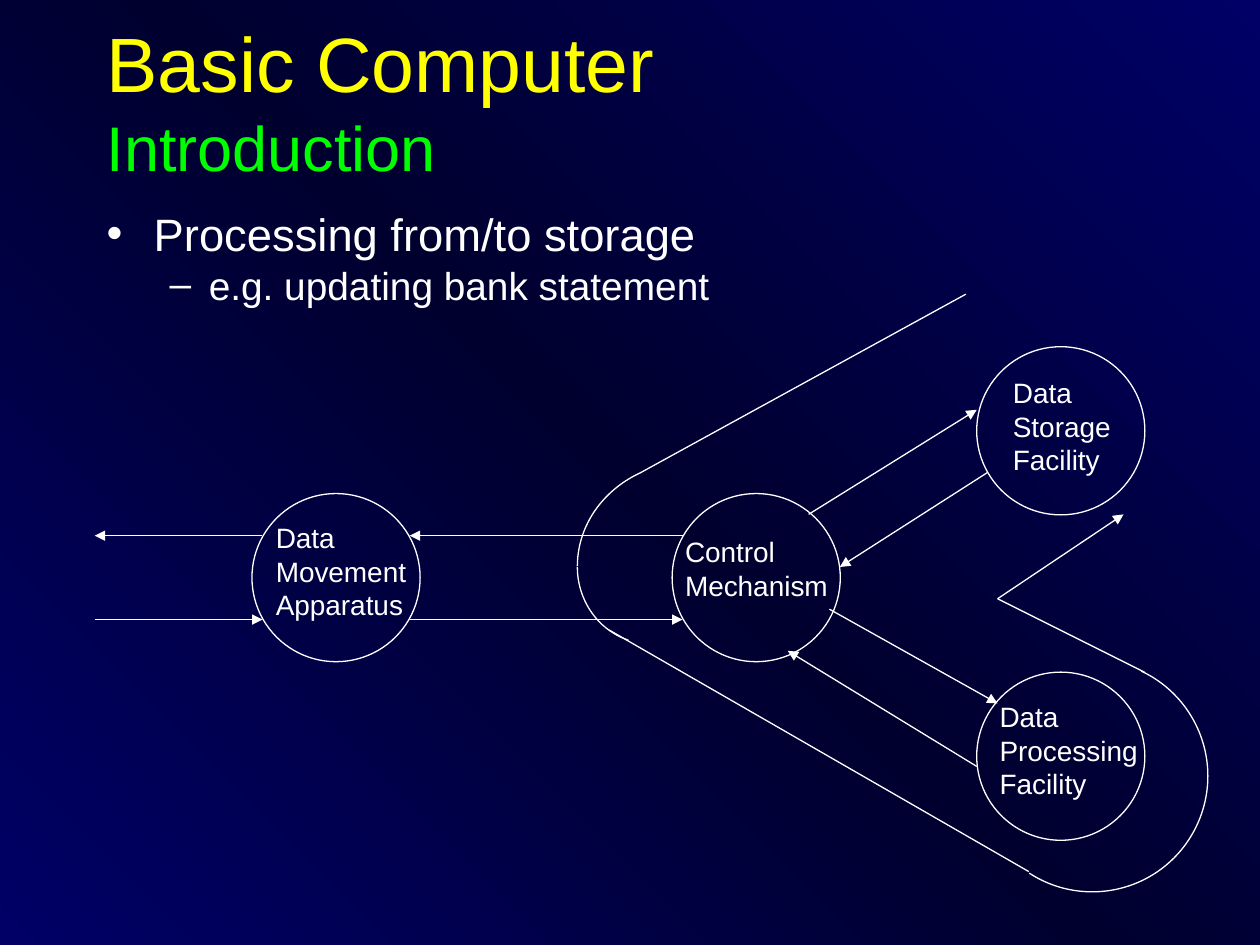
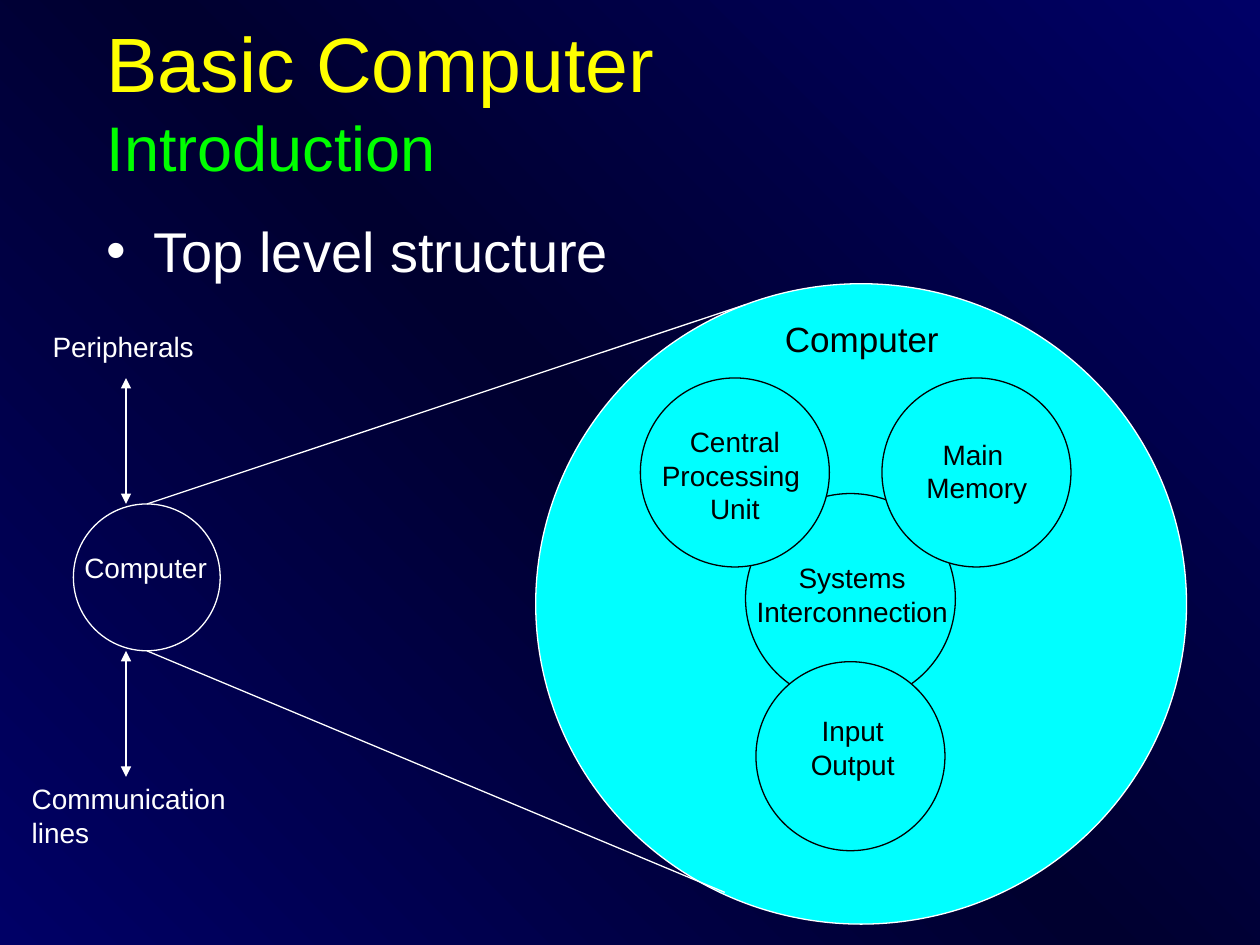
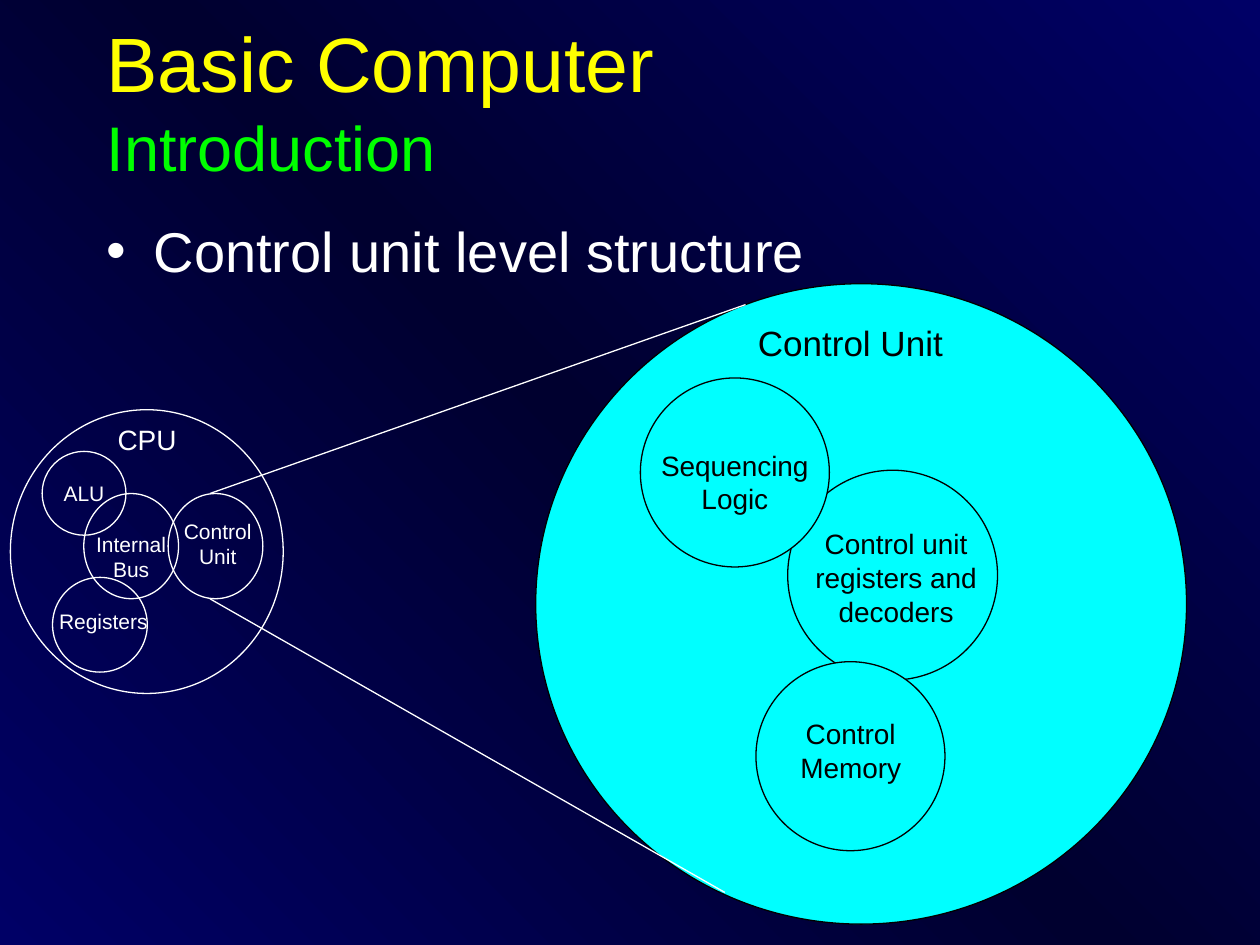
import copy
import functools
from dataclasses import dataclass

import lxml.etree
import pptx
import pptx.dml.color
import pptx.enum.shapes
import pptx.enum.text
import pptx.oxml.ns
import pptx.util

Cm = pptx.util.Cm
Pt = pptx.util.Pt
qn = pptx.oxml.ns.qn
RGBColor = pptx.dml.color.RGBColor
SHAPE = pptx.enum.shapes.MSO_SHAPE
ALIGN = pptx.enum.text.PP_ALIGN
ANCHOR = pptx.enum.text.MSO_ANCHOR
AUTO_SIZE = pptx.enum.text.MSO_AUTO_SIZE

WHITE = RGBColor(0xFF, 0xFF, 0xFF)
BLACK = RGBColor(0x00, 0x00, 0x00)
YELLOW = RGBColor(0xFF, 0xFF, 0x00)
GREEN = RGBColor(0x00, 0xFF, 0x00)
CYAN = RGBColor(0x00, 0xFF, 0xFF)
NAVY = RGBColor(0x00, 0x00, 0x66)
MIDNIGHT = RGBColor(0x00, 0x00, 0x2F)

FONT = "Arial"
LINE_WIDTH = Pt(0.75)


# All lengths in these records are centimetres
@dataclass(frozen=True)
class Circle:
    left: float
    top: float
    width: float
    height: float = 0  # 0 means as high as wide
    fill: RGBColor | None = None
    outline: RGBColor = WHITE
    text: str = ""


@dataclass(frozen=True)
class Arc:
    left: float
    top: float
    width: float
    height: float
    start: float  # degrees, clockwise from the right
    end: float


@dataclass(frozen=True)
class Line:
    x1: float
    y1: float
    x2: float
    y2: float
    head: bool = False
    tail: bool = False


@dataclass(frozen=True)
class Label:
    text: str
    left: float
    top: float
    width: float
    height: float
    size: float = 16
    color: RGBColor = WHITE
    align: ALIGN = ALIGN.LEFT
    wrap: bool = False


@dataclass(frozen=True)
class Bullet:
    text: str
    size: float = 32
    mark: str = "•"
    margin: float = 0.95
    hanging: float = 0.95
    line_spacing: float = 1.0
    space_before: float = 0


@dataclass(frozen=True)
class Page:
    bullets: tuple[Bullet, ...]
    circles: tuple[Circle, ...]
    lines: tuple[Line, ...]
    labels: tuple[Label, ...]
    arcs: tuple[Arc, ...] = ()


Arrow = functools.partial(Line, tail=True)
InnerCircle = functools.partial(Circle, fill=CYAN, outline=BLACK)
InnerLabel = functools.partial(Label, color=BLACK, align=ALIGN.CENTER)
SmallLabel = functools.partial(Label, size=12, align=ALIGN.CENTER)


def write(frame, text: str, *, size: float = 16, color: RGBColor = WHITE,
          align: ALIGN = ALIGN.LEFT, line_spacing: float = 1.0,
          space_before: float = 0, bullet: Bullet | None = None,
          same_paragraph: bool = False) -> None:
    """Add each line of text as a paragraph, or continue the last paragraph."""
    for content in text.split("\n"):
        paragraph = frame.paragraphs[-1]
        if same_paragraph:
            paragraph.add_line_break()
        else:
            if paragraph.runs:
                paragraph = frame.add_paragraph()
            if bullet:
                add_bullet(paragraph, bullet)
            paragraph.alignment = align
            if line_spacing != 1:
                paragraph.line_spacing = line_spacing
            paragraph.space_before = Pt(space_before)
        run = paragraph.add_run()
        run.text = content
        run.font.name = FONT
        run.font.size = Pt(size)
        run.font.color.rgb = color


def add_bullet(paragraph, bullet: Bullet) -> None:
    properties = paragraph._p.get_or_add_pPr()
    properties.set("marL", str(Cm(bullet.margin)))
    properties.set("indent", str(-Cm(bullet.hanging)))
    mark_color = lxml.etree.SubElement(properties, qn("a:buClr"))
    lxml.etree.SubElement(mark_color, qn("a:srgbClr"), val=str(WHITE))
    lxml.etree.SubElement(properties, qn("a:buFont"), typeface=FONT)
    lxml.etree.SubElement(properties, qn("a:buChar"), char=bullet.mark)


def add_frame(slide, left: float, top: float, width: float, height: float,
              wrap: bool = True):
    box = slide.shapes.add_textbox(Cm(left), Cm(top), Cm(width), Cm(height))
    box.text_frame.word_wrap = wrap
    return box.text_frame


def draw_title(slide) -> None:
    frame = add_frame(slide, 1.9, 0.42, 21.6, 3.18)
    frame.vertical_anchor = ANCHOR.MIDDLE
    write(frame, "Basic Computer", size=44, color=YELLOW)
    write(frame, "Introduction", size=36, color=GREEN, same_paragraph=True)


def draw_bullets(slide, bullets: tuple[Bullet, ...]) -> None:
    frame = add_frame(slide, 1.9, 4.24, 21.6, 2.16)
    for bullet in bullets:
        write(frame, bullet.text, size=bullet.size, bullet=bullet,
              line_spacing=bullet.line_spacing,
              space_before=bullet.space_before)


def draw_outline(slide, preset: SHAPE, part: Circle | Arc, color: RGBColor):
    shape = slide.shapes.add_shape(
        preset, Cm(part.left), Cm(part.top), Cm(part.width),
        Cm(part.height or part.width))
    shape.shadow.inherit = False
    shape.fill.background()
    shape.line.color.rgb = color
    shape.line.width = LINE_WIDTH
    return shape


def draw_circle(slide, circle: Circle) -> None:
    shape = draw_outline(slide, SHAPE.OVAL, circle, circle.outline)
    if circle.fill is not None:
        shape.fill.solid()
        shape.fill.fore_color.rgb = circle.fill
    if circle.text:
        shape.text_frame.word_wrap = False
        shape.text_frame.vertical_anchor = ANCHOR.MIDDLE
        write(shape.text_frame, circle.text, size=12, align=ALIGN.CENTER)


def draw_arc(slide, arc: Arc) -> None:
    shape = draw_outline(slide, SHAPE.ARC, arc, WHITE)
    # Angles are stored in 60000ths of a degree, adjustments in 100000ths
    for index, angle in enumerate((arc.start, arc.end)):
        shape.adjustments[index] = angle * 0.6


def draw_line(slide, line: Line) -> None:
    connector = slide.shapes.add_connector(
        pptx.enum.shapes.MSO_CONNECTOR.STRAIGHT,
        Cm(line.x1), Cm(line.y1), Cm(line.x2), Cm(line.y2))
    connector.line.color.rgb = WHITE
    connector.line.width = LINE_WIDTH
    properties = connector._element.spPr
    stroke = properties.find(qn("a:ln"))
    for tag, shown in (("a:headEnd", line.head), ("a:tailEnd", line.tail)):
        if shown:
            lxml.etree.SubElement(stroke, qn(tag), type="triangle")
    lxml.etree.SubElement(properties, qn("a:effectLst"))


def draw_label(slide, label: Label) -> None:
    frame = add_frame(slide, label.left, label.top, label.width, label.height,
                      label.wrap)
    frame.auto_size = AUTO_SIZE.SHAPE_TO_FIT_TEXT
    write(frame, label.text, size=label.size, color=label.color,
          align=label.align)


def paint_background(master) -> None:
    fill = master.background.fill
    fill.gradient()
    fill.gradient_angle = 225
    stop_list = master.element.xpath(".//p:bg//a:gsLst")[0]
    stop_list.insert(1, copy.deepcopy(stop_list[0]))
    colors = (NAVY, MIDNIGHT, NAVY)
    for index, (stop, color) in enumerate(zip(fill.gradient_stops, colors)):
        stop.position = index / 2
        stop.color.rgb = color


# Processing from and to storage
STORAGE = Page(
    bullets=(
        Bullet("Processing from/to storage", 25.9, line_spacing=0.8),
        Bullet("e.g. updating bank statement", 22.2, "–", 2.06, 0.79,
               line_spacing=0.8, space_before=6),
    ),
    circles=(
        Circle(5.08, 9.95, 3.39),
        Circle(13.55, 9.95, 3.39),
        Circle(19.69, 6.99, 3.39),
        Circle(19.69, 13.55, 3.39),
    ),
    lines=(
        # Flows between the facilities
        Arrow(5.29, 10.8, 1.91, 10.8),
        Arrow(1.91, 12.49, 5.29, 12.49),
        Arrow(8.26, 12.49, 13.76, 12.49),
        Arrow(13.76, 10.8, 8.26, 10.8),
        Arrow(16.3, 10.37, 19.69, 8.26),
        Arrow(19.9, 9.53, 16.93, 11.43),
        Arrow(16.72, 12.28, 20.11, 14.18),
        Arrow(19.69, 15.45, 15.88, 13.12),
        # Path around the control mechanism
        Line(19.47, 5.93, 12.91, 9.53),
        Line(12.28, 12.7, 20.74, 17.57),
        Line(20.11, 12.07, 23.07, 13.55),
        Arrow(20.11, 12.07, 22.65, 10.37),
    ),
    arcs=(
        Arc(11.64, 9.3, 4.66, 4.23, 180, 241),
        Arc(11.64, 9.88, 2.96, 3.1, 107, 180),
        Arc(19.69, 13.31, 4.66, 4.67, 295, 123),
    ),
    labels=(
        Label("Data\nMovement\nApparatus", 5.31, 10.37, 3.15, 2.29, wrap=True),
        Label("Control\nMechanism", 13.56, 10.66, 3.42, 1.63),
        Label("Data\nStorage\nFacility", 20.17, 7.45, 2.56, 2.29),
        Label("Data\nProcessing\nFacility", 19.9, 13.98, 3.38, 2.29),
    ),
)

# Computer and its main parts
TOP_LEVEL = Page(
    bullets=(Bullet("Top level structure"),),
    circles=(
        Circle(10.8, 5.72, 13.12, 12.91, fill=CYAN),
        InnerCircle(15.03, 9.95, 4.23),
        InnerCircle(12.91, 7.62, 3.81),
        Circle(1.48, 10.16, 2.96),
        InnerCircle(17.78, 7.62, 3.81),
        InnerCircle(15.24, 13.34, 3.81),
    ),
    lines=(
        Line(2.96, 10.16, 15.03, 6.14),
        Line(2.96, 13.12, 14.61, 17.99),
        Arrow(2.54, 7.62, 2.54, 10.16, head=True),
        Arrow(2.54, 13.12, 2.54, 15.66, head=True),
    ),
    labels=(
        Label("Computer", 1.45, 10.97, 3.07, 0.94),
        Label("Peripherals", 0.81, 6.52, 3.4, 0.94),
        Label("Communication\nlines", 0.39, 15.63, 4.47, 1.63),
        InnerLabel("Computer", 15.52, 6.27, 3.71, 1.12, size=20),
        InnerLabel("Central\nProcessing \nUnit", 13.04, 8.44, 3.55, 2.29),
        InnerLabel("Main \nMemory", 18.37, 8.69, 2.64, 1.63),
        InnerLabel("Systems\nInterconnection", 14.96, 11.18, 4.44, 1.63),
        InnerLabel("Input\nOutput", 16.05, 14.26, 2.28, 1.63),
    ),
)

# Control unit inside the CPU
CONTROL_UNIT = Page(
    bullets=(Bullet("Control unit level structure"),),
    circles=(
        InnerCircle(10.8, 5.72, 13.12, 12.91),
        InnerCircle(15.88, 9.48, 4.23),
        InnerCircle(12.91, 7.62, 3.81),
        InnerCircle(15.24, 13.34, 3.81),
        Circle(0.21, 8.26, 5.5, 5.72),
        Circle(3.39, 9.95, 1.91, 2.12),
        Circle(0.85, 9.1, 1.69, text="ALU"),
        Circle(1.06, 11.64, 1.91),
        Circle(1.69, 9.95, 1.91, 2.12),
    ),
    lines=(
        Line(4.23, 9.95, 15.03, 6.14),
        Line(4.23, 12.07, 14.61, 17.99),
    ),
    labels=(
        Label("CPU", 2.12, 8.39, 1.7, 0.94, wrap=True),
        SmallLabel("Control\nUnit", 3.4, 10.33, 1.98, 1.27),
        SmallLabel("Registers", 0.89, 12.15, 2.39, 0.76),
        SmallLabel("Internal\nBus", 1.64, 10.59, 2.01, 1.27),
        InnerLabel("Control Unit", 14.98, 6.35, 4.33, 1.12, size=20),
        InnerLabel("Sequencing Logic", 12.91, 8.91, 3.81, 1.63, wrap=True),
        InnerLabel("Control unit registers and decoders",
                   16.06, 10.5, 4.01, 2.29, wrap=True),
        InnerLabel("Control\nMemory", 15.83, 14.33, 2.64, 1.63),
    ),
)


def main() -> None:
    deck = pptx.Presentation()
    deck.slide_width = Cm(25.4)
    deck.slide_height = Cm(19.05)
    paint_background(deck.slide_master)
    for page in (STORAGE, TOP_LEVEL, CONTROL_UNIT):
        slide = deck.slides.add_slide(deck.slide_layouts[6])
        draw_title(slide)
        draw_bullets(slide, page.bullets)
        for draw, parts in ((draw_circle, page.circles),
                            (draw_line, page.lines),
                            (draw_arc, page.arcs),
                            (draw_label, page.labels)):
            for part in parts:
                draw(slide, part)
    deck.save("out.pptx")


if __name__ == "__main__":
    main()
